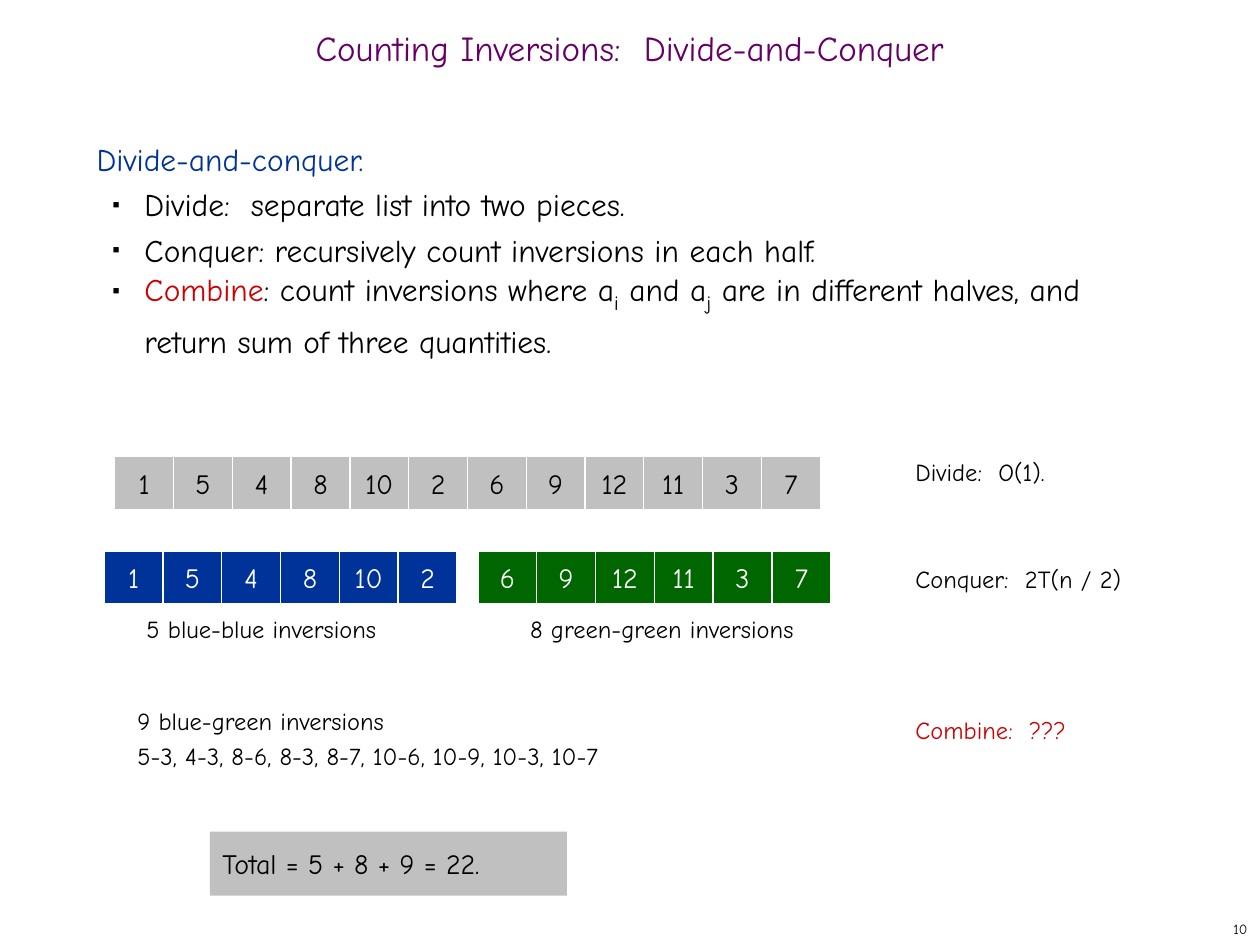
"""Build the slide on counting inversions by divide-and-conquer."""
import pptx
import pptx.dml.color
import pptx.enum.shapes
import pptx.enum.text
import pptx.oxml
import pptx.oxml.ns
import pptx.util
from dataclasses import dataclass

ALIGN = pptx.enum.text.PP_ALIGN
ANCHOR = pptx.enum.text.MSO_ANCHOR
Pt = pptx.util.Pt


@dataclass(frozen=True)
class Theme:
    font: str = "Comic Neue"
    black: str = "000000"
    white: str = "FFFFFF"
    gray: str = "C0C0C0"
    purple: str = "660066"
    blue: str = "003399"
    green: str = "006600"
    red: str = "CC0000"
    title: int = 20
    body: int = 18
    cell: int = 16
    label: int = 14
    number: int = 8


THEME = Theme()
WIDTH, HEIGHT = pptx.util.Inches(10), pptx.util.Inches(7.5)
COLUMNS, ROWS = 120, 90

TITLE = "Counting Inversions:  Divide-and-Conquer"
HEADING = "Divide-and-conquer."
SUBSCRIPT = {"size": THEME.title, "baseline": -25}
STEPS = [
    ["Divide:  separate list into two pieces."],
    ["Conquer: recursively count inversions in each half."],
    [
        ("Combine", {"color": THEME.red}),
        ": count inversions where a",
        ("i", SUBSCRIPT),
        " and a",
        ("j", SUBSCRIPT),
        " are in different halves, and return sum of three quantities.",
    ],
]
NUMBERS = [1, 5, 4, 8, 10, 2, 6, 9, 12, 11, 3, 7]
HALF = len(NUMBERS) // 2
LIST_LEFT, CELL_WIDTH, CELL_HEIGHT, HALF_SHIFT = 10.92, 5.6, 5, 1
LIST_ROW, HALVES_ROW = 43.5, 52.5
CELL_GROUPS = [
    (NUMBERS, LIST_LEFT, LIST_ROW, THEME.gray, THEME.black),
    (NUMBERS[:HALF], LIST_LEFT - HALF_SHIFT, HALVES_ROW, THEME.blue, THEME.white),
    (NUMBERS[HALF:], LIST_LEFT + HALF * CELL_WIDTH + HALF_SHIFT, HALVES_ROW,
     THEME.green, THEME.white),
]
COUNTS = [
    ("5 blue-blue inversions", (11.9, 57.7, 26, 4.4)),
    ("8 green-green inversions", (48.4, 57.7, 29.3, 4.4)),
]
COSTS = [
    ("Divide:  O(1).", (86, 42.7, 17.9, 4.4), THEME.black),
    ("Conquer:  2T(n / 2)", (86, 52.9, 26, 4.4), THEME.black),
    ("Combine:  ???", (86, 67.3, 22, 4.4), THEME.red),
]
CROSSING = [
    "9 blue-green inversions",
    "5-3, 4-3, 8-6, 8-3, 8-7, 10-6, 10-9, 10-3, 10-7",
]


def grid(box):
    left, top, width, height = box
    return (round(left * WIDTH / COLUMNS), round(top * HEIGHT / ROWS),
            round(width * WIDTH / COLUMNS), round(height * HEIGHT / ROWS))


def add_bullet(paragraph):
    properties = paragraph._p.get_or_add_pPr()
    properties.set("marL", str(pptx.util.Inches(0.38)))
    properties.set("indent", str(pptx.util.Inches(-0.25)))
    namespace = pptx.oxml.ns.nsdecls("a")
    for markup in (
        f'<a:buClr {namespace}><a:srgbClr val="{THEME.black}"/></a:buClr>',
        f'<a:buSzPct {namespace} val="35000"/>',
        f'<a:buChar {namespace} char="■"/>',
    ):
        properties.append(pptx.oxml.parse_xml(markup))


def write(paragraph, *runs, size=THEME.label, color=THEME.black,
          align=ALIGN.LEFT, spacing=1.0, bullet=False):
    if bullet:
        paragraph.level = 1
        add_bullet(paragraph)
    elif bullet is None:
        properties = paragraph._p.get_or_add_pPr()
        properties.set("marL", "0")
        properties.set("indent", "0")
        properties.append(pptx.oxml.parse_xml(
            f'<a:buNone {pptx.oxml.ns.nsdecls("a")}/>'))
    paragraph.alignment = align
    paragraph.line_spacing = spacing
    paragraph.space_before = Pt(0)
    for item in runs:
        text, changes = (item, {}) if isinstance(item, str) else item
        run = paragraph.add_run()
        run.text = text
        run.font.name = THEME.font
        run.font.size = Pt(changes.get("size", size))
        run.font.color.rgb = pptx.dml.color.RGBColor.from_string(
            changes.get("color", color))
        if "baseline" in changes:
            run._r.get_or_add_rPr().set("baseline", str(changes["baseline"] * 1000))


def prepare(shape, anchor=ANCHOR.MIDDLE, wrap=True):
    frame = shape.text_frame
    frame.auto_size = pptx.enum.text.MSO_AUTO_SIZE.NONE
    frame.word_wrap = wrap
    frame.vertical_anchor = anchor
    return frame


def place(shape, box):
    shape.left, shape.top, shape.width, shape.height = grid(box)


def add_label(slide, box, lines, wrap=True, **style):
    frame = prepare(slide.shapes.add_textbox(*grid(box)), wrap=wrap)
    for index, line in enumerate(lines):
        write(frame.add_paragraph() if index else frame.paragraphs[0], line, **style)


def add_block(slide, box, text, fill, outline=None, wrap=True, **style):
    shape = slide.shapes.add_shape(
        pptx.enum.shapes.MSO_SHAPE.RECTANGLE, *grid(box))
    shape.shadow.inherit = False
    shape.fill.solid()
    shape.fill.fore_color.rgb = pptx.dml.color.RGBColor.from_string(fill)
    if outline:
        shape.line.color.rgb = pptx.dml.color.RGBColor.from_string(outline)
        shape.line.width = Pt(0.75)
    else:
        shape.line.fill.background()
    write(prepare(shape, wrap=wrap).paragraphs[0], text, size=THEME.cell, **style)


def main():
    presentation = pptx.Presentation()
    presentation.slide_width, presentation.slide_height = WIDTH, HEIGHT
    slide = presentation.slides.add_slide(presentation.slide_layouts[1])

    title, body = slide.shapes.title, slide.placeholders[1]
    place(title, (0, 2, 120, 6))
    write(prepare(title).paragraphs[0], TITLE, size=THEME.title,
          color=THEME.purple, align=ALIGN.CENTER, spacing=0.7)
    place(body, (8, 12, 103, 71))
    frame = prepare(body, anchor=ANCHOR.TOP)
    write(frame.paragraphs[0], HEADING, size=THEME.body, color=THEME.blue,
          spacing=Pt(26), bullet=None)
    for step in STEPS:
        write(frame.add_paragraph(), *step, size=THEME.body,
              spacing=Pt(26), bullet=True)

    for numbers, left, row, fill, color in CELL_GROUPS:
        for index, number in enumerate(numbers):
            box = (left + index * CELL_WIDTH, row, CELL_WIDTH, CELL_HEIGHT)
            add_block(slide, box, str(number), fill, outline=THEME.white,
                      wrap=False, color=color, align=ALIGN.CENTER)

    for text, box in COUNTS:
        add_label(slide, box, [text], wrap=False, align=ALIGN.CENTER)
    for text, box, color in COSTS:
        add_label(slide, box, [text], color=color)
    add_label(slide, (11.9, 65.5, 68, 9), CROSSING, spacing=1.2)
    add_block(slide, (20, 79.2, 34, 6.1), "Total = 5 + 8 + 9 = 22.", THEME.gray)
    add_label(slide, (95, 87, 25, 3), ["10"], wrap=False,
              size=THEME.number, align=ALIGN.RIGHT)
    presentation.save("out.pptx")


if __name__ == "__main__":
    main()
